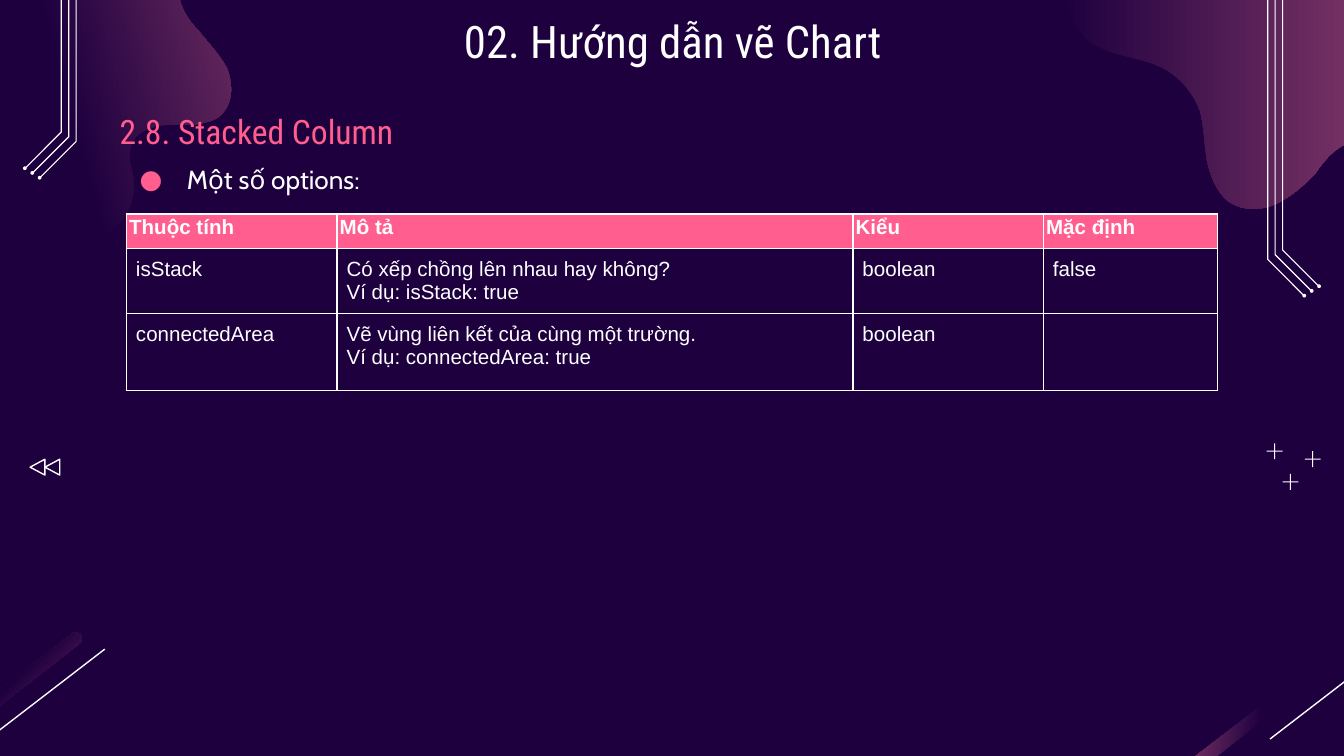
from dataclasses import dataclass

import lxml.etree
import pptx
import pptx.dml.color
import pptx.enum.shapes
import pptx.enum.text
import pptx.oxml
import pptx.oxml.ns
import pptx.util

Cm, Pt = pptx.util.Cm, pptx.util.Pt
SHAPE = pptx.enum.shapes.MSO_SHAPE
ANCHOR = pptx.enum.text.MSO_ANCHOR
ALIGN = pptx.enum.text.PP_ALIGN
qn = pptx.oxml.ns.qn
NS = pptx.oxml.ns.nsdecls("a")


@dataclass(frozen=True)
class Theme:
    night: str = "1E003F"
    plum: str = "A64D79"
    pink: str = "FF5E8E"
    white: str = "FFFFFF"
    heading_font: str = "Roboto Condensed"
    body_font: str = "Cabin"
    table_font: str = "Arial"
    title_size: float = 24
    heading_size: float = 18
    body_size: float = 14
    table_size: float = 11
    hairline: float = 0.75
    border: float = 1


THEME = Theme()
FADE = [(0, THEME.night), (100, THEME.plum)]
LATE_FADE = [(0, THEME.night), (50, THEME.night), (100, THEME.plum)]

# Curve points in hundredths of an inch: a start, then three points per curve.
GRID = 0.0254
LEFT_BLOB = [
    (48, 190), (74, 183), (86, 169), (90, 165), (98, 156), (101, 143), (99, 131),
    (98, 124), (95, 117), (97, 111), (98, 102), (106, 97), (114, 95),
    (115, 94), (115, 94), (116, 94), (124, 92), (133, 93), (142, 93),
    (146, 93), (150, 92), (153, 91), (158, 90), (163, 88), (166, 84),
    (174, 75), (173, 61), (169, 51), (164, 41), (155, 32), (148, 23),
    (140, 15), (133, 4), (133, -7), (133, -16), (136, -25), (143, -31),
    (147, -35), (153, -38), (159, -39), (168, -42), (179, -42), (190, -41),
    (201, -41), (212, -40), (223, -42), (225, -43), (226, -43), (228, -43),
    (237, -46), (246, -51), (252, -58), (259, -66), (261, -78), (258, -87),
    (256, -105), (244, -125), (233, -134), (215, -150), (190, -155), (167, -151),
    (166, -150), (165, -150), (164, -150), (129, -140), (103, -110), (70, -95),
    (65, -93), (59, -91), (54, -90), (22, -81), (-13, -85), (-47, -82),
    (-62, -81), (-77, -78), (-91, -74), (-104, -71), (-116, -67), (-128, -61),
    (-145, -54), (-162, -44), (-174, -30), (-186, -17), (-195, 2), (-194, 22),
    (-193, 46), (-176, 68), (-156, 80), (-135, 93), (-112, 97), (-88, 99),
    (-74, 101), (-60, 101), (-46, 106), (-32, 110), (-19, 119), (-13, 133),
    (-8, 144), (-8, 155), (-3, 166), (6, 184), (29, 195), (48, 190)]
RIGHT_BLOB = [
    (1125, 38), (1125, 13), (1118, -13), (1105, -35), (1094, -54), (1078, -70), (1058, -77),
    (1036, -85), (1012, -81), (989, -84), (967, -87), (945, -97), (929, -113),
    (918, -123), (909, -135), (897, -141), (883, -148), (867, -146), (852, -143),
    (840, -140), (828, -136), (819, -129), (803, -117), (796, -97), (793, -78),
    (790, -65), (789, -51), (789, -38), (789, -31), (789, -24), (790, -18),
    (791, 0), (796, 18), (809, 30), (825, 42), (847, 42), (864, 50),
    (878, 57), (888, 69), (893, 83), (896, 94), (896, 107), (898, 119),
    (900, 130), (905, 143), (914, 150), (924, 157), (938, 157), (949, 152),
    (960, 147), (969, 139), (978, 130), (983, 123), (988, 116), (995, 111),
    (1002, 106), (1010, 103), (1018, 106), (1033, 110), (1038, 130), (1052, 138),
    (1085, 157), (1108, 112), (1117, 88), (1122, 72), (1125, 55), (1125, 38)]
STREAK = [
    (56, 471), (57, 471), (59, 471), (60, 472), (61, 475), (61, 478), (59, 479),
    (59, 479), (-81, 588), (-81, 588), (-84, 589), (-87, 589), (-88, 587),
    (-90, 585), (-90, 582), (-87, 580), (-87, 580), (53, 472), (53, 472),
    (54, 471), (55, 470), (56, 471)]


def rgb(color):
    return pptx.dml.color.RGBColor.from_string(color)


def paint(sp, color):
    sp.shadow.inherit = False
    sp.line.fill.background()
    sp.fill.solid()
    sp.fill.fore_color.rgb = rgb(color)


def add_outline(shapes, points):
    """Closed outline through points given in cm."""
    start, *rest = [(Cm(x), Cm(y)) for x, y in points]
    builder = shapes.build_freeform(*start)
    builder.add_line_segments(rest)
    return builder.convert_to_shape()


def flatten(curve, steps=8):
    points = [curve[0]]
    for i in range(0, len(curve) - 1, 3):
        ends = curve[i:i + 4]
        for t in (n / steps for n in range(1, steps + 1)):
            weights = ((1 - t) ** 3, 3 * t * (1 - t) ** 2, 3 * t * t * (1 - t), t ** 3)
            points.append(tuple(sum(w * pt[axis] for w, pt in zip(weights, ends))
                                for axis in (0, 1)))
    return points


def add_glow(shapes, left, top, curve, stops, angle=None):
    """Curved shape with a linear gradient, or a round one if no angle is given."""
    sp = add_outline(shapes, [(left + x * GRID, top + y * GRID) for x, y in flatten(curve)])
    paint(sp, THEME.night)
    marks = "".join(f'<a:gs pos="{pos * 1000}"><a:srgbClr val="{color}"/></a:gs>'
                    for pos, color in stops)
    if angle is None:
        course = '<a:path path="circle"><a:fillToRect r="100000" b="100000"/></a:path>'
    else:
        course = f'<a:lin ang="{angle * 60000}" scaled="0"/>'
    solid = sp._element.spPr.find(qn("a:solidFill"))
    solid.getparent().replace(solid, pptx.oxml.parse_xml(
        f'<a:gradFill {NS} rotWithShape="1"><a:gsLst>{marks}</a:gsLst>{course}</a:gradFill>'))


def add_streak(slide, left, top, angle=None):
    shapes = slide.shapes.add_group_shape().shapes
    add_glow(shapes, left, top, STREAK, LATE_FADE, angle)
    line = shapes.add_connector(pptx.enum.shapes.MSO_CONNECTOR.STRAIGHT, Cm(left + 1.98),
                                Cm(top + 12.27), Cm(left - 0.23), Cm(top + 13.97))
    line.line.color.rgb = rgb(THEME.white)
    line.line.width = Pt(THEME.hairline)
    lxml.etree.SubElement(line._element.spPr, qn("a:effectLst"))


def add_circuit(slide, left, bend, side, rise=7.75, run=0.69, thick=0.02, dot=0.07):
    """Three bent tracks ending in dots; side is 1 to bend right, -1 to bend left."""
    shapes = slide.shapes.add_group_shape().shapes
    for i in range(3):
        x, y = left - side * 0.14 * i, bend + 0.09 * i
        w = side * thick / 2
        paint(add_outline(shapes, [
            (x - w, y - rise), (x + w, y - rise), (x + w, y),
            (x + w + side * run, y + run), (x - w + side * run, y + run + thick / 2),
            (x - w, y + thick / 2)]), THEME.white)
        paint(shapes.add_shape(SHAPE.OVAL, Cm(x + side * run - dot / 2),
                               Cm(y + run - dot / 2), Cm(dot), Cm(dot)), THEME.white)


def add_pluses(slide, left, top, size=0.3, thick=0.02):
    shapes = slide.shapes.add_group_shape().shapes
    for x, y in ((0.15, 0.15), (0.87, 0.3), (0.45, 0.73)):
        for w, h in ((size, thick), (thick, size)):
            paint(shapes.add_shape(SHAPE.RECTANGLE, Cm(left + x - w / 2),
                                   Cm(top + y - h / 2), Cm(w), Cm(h)), THEME.white)


def add_rewind(slide, left, top, width=0.3, height=0.28):
    shapes = slide.shapes.add_group_shape().shapes
    for i in range(2):
        sp = shapes.add_shape(SHAPE.ISOSCELES_TRIANGLE, Cm(left + i * height), Cm(top),
                              Cm(width), Cm(height))
        sp.rotation = 270
        sp.shadow.inherit = False
        sp.fill.background()
        sp.line.color.rgb = rgb(THEME.white)
        sp.line.width = Pt(THEME.hairline)


def add_run(p, text, font, size, color, bold=False):
    r = p.add_run()
    r.text = text
    r.font.name, r.font.size, r.font.bold = font, Pt(size), bold
    r.font.color.rgb = rgb(color)


def fill_placeholder(slide, idx, box, text, font, size, color, anchor=ANCHOR.TOP,
                     align=ALIGN.LEFT, spacing=1.0, after=0, bullet=None):
    sp = next(ph for ph in slide.placeholders if ph.placeholder_format.idx == idx)
    slide.shapes._spTree.append(sp._element)  # in front of the decoration
    sp.left, sp.top, sp.width, sp.height = map(Cm, box)
    tf = sp.text_frame
    tf.word_wrap, tf.vertical_anchor = True, anchor
    tf.auto_size = pptx.enum.text.MSO_AUTO_SIZE.NONE
    tf.margin_left = tf.margin_right = tf.margin_top = tf.margin_bottom = Cm(0.25)
    p = tf.paragraphs[0]
    p.alignment, p.line_spacing = align, spacing
    p.space_before, p.space_after = Pt(0), Pt(after)
    pPr = p._p.get_or_add_pPr()
    pPr.set("marL", str(Cm(1.27) if bullet else 0))
    pPr.set("indent", str(Cm(-0.89) if bullet else 0))
    if bullet:
        color_mark = lxml.etree.SubElement(pPr, qn("a:buClr"))
        lxml.etree.SubElement(color_mark, qn("a:srgbClr"), val=THEME.pink)
        lxml.etree.SubElement(pPr, qn("a:buFont"), typeface=font)
        lxml.etree.SubElement(pPr, qn("a:buChar"), char=bullet)
    else:
        lxml.etree.SubElement(pPr, qn("a:buNone"))
    add_run(p, text, font, size, color)


def fill_cell(cell, lines, header):
    cell.margin_left = cell.margin_right = cell.margin_top = cell.margin_bottom = Cm(
        0.05 if header else 0.18)
    if header:
        cell.fill.solid()
        cell.fill.fore_color.rgb = rgb(THEME.pink)
    else:
        cell.fill.background()
    for i, side in enumerate("LRTB"):
        cell._tc.get_or_add_tcPr().insert(i, pptx.oxml.parse_xml(
            f'<a:ln{side} {NS} w="{Pt(THEME.border)}"><a:solidFill>'
            f'<a:srgbClr val="{THEME.white}"/></a:solidFill></a:ln{side}>'))
    for i, line in enumerate(lines):
        p = cell.text_frame.add_paragraph() if i else cell.text_frame.paragraphs[0]
        add_run(p, line, THEME.table_font, THEME.table_size, THEME.white, header)


def add_options_table(slide, box, widths, heights, rows):
    table = slide.shapes.add_table(len(rows), len(widths), *map(Cm, box)).table
    table.first_row = table.horz_banding = False
    for column, width in zip(table.columns, widths):
        column.width = Cm(width)
    for i, (height, row) in enumerate(zip(heights, rows)):
        table.rows[i].height = Cm(height)
        for j, lines in enumerate(row):
            fill_cell(table.cell(i, j), lines, header=i == 0)


def decorate(slide):
    add_glow(slide.shapes, 0, 0, LEFT_BLOB, LATE_FADE, 345)
    add_glow(slide.shapes, 0, 0, RIGHT_BLOB, FADE, 0)
    add_streak(slide, 0, 0)
    add_streak(slide, 24.23, 0, 187)
    add_circuit(slide, 24.24, 4.72, 1)
    add_circuit(slide, 1.16, 2.49, -1)
    add_pluses(slide, 23.94, 8.38)
    add_rewind(slide, 0.56, 8.69)


def main():
    prs = pptx.Presentation()
    prs.slide_width, prs.slide_height = Cm(25.4), Cm(14.29)
    slide = prs.slides.add_slide(prs.slide_layouts.get_by_name("Two Content"))
    slide.background.fill.solid()
    slide.background.fill.fore_color.rgb = rgb(THEME.night)
    decorate(slide)
    fill_placeholder(slide, 1, (2.01, 2.54, 20.62, 1.27), "Một số options:", THEME.body_font,
                     THEME.body_size, THEME.white, spacing=1.5, bullet="●")
    fill_placeholder(slide, 0, (2.01, 0, 21.41, 1.6), "02. Hướng dẫn vẽ Chart",
                     THEME.heading_font, THEME.title_size, THEME.white, align=ALIGN.CENTER)
    fill_placeholder(slide, 2, (2.01, 1.96, 17.83, 1.14), "2.8. Stacked Column",
                     THEME.heading_font, THEME.heading_size, THEME.pink,
                     anchor=ANCHOR.BOTTOM, spacing=1.15, after=12)
    add_options_table(slide, (2.39, 4.04, 20.62, 3.34), (3.98, 9.75, 3.6, 3.29),
                      (0.66, 1.22, 1.46), [
        [["Thuộc tính"], ["Mô tả"], ["Kiểu"], ["Mặc định"]],
        [["isStack"], ["Có xếp chồng lên nhau hay không?", "Ví dụ: isStack: true"],
         ["boolean"], ["false"]],
        [["connectedArea"],
         ["Vẽ vùng liên kết của cùng một trường.", "Ví dụ: connectedArea: true"],
         ["boolean"], []]])
    prs.save("out.pptx")


if __name__ == "__main__":
    main()
